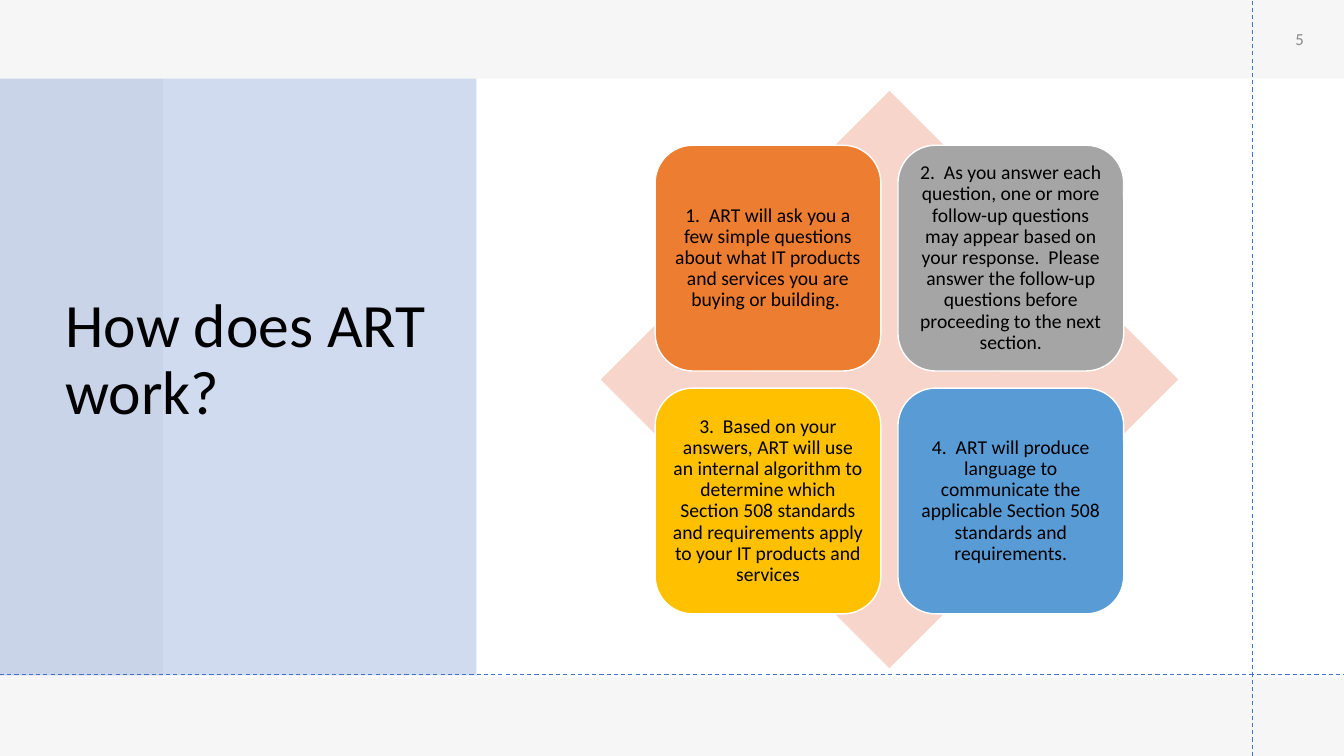
from lxml.etree import SubElement
from pptx import Presentation
from pptx.dml.color import RGBColor
from pptx.enum.dml import MSO_LINE
from pptx.enum.shapes import MSO_CONNECTOR as Connector, MSO_SHAPE as Shape
from pptx.enum.text import MSO_ANCHOR as Anchor, PP_ALIGN as Align
from pptx.oxml.ns import qn
from pptx.util import Cm, Pt

WHITE = RGBColor(0xFF, 0xFF, 0xFF)
BLACK = RGBColor(0x00, 0x00, 0x00)
NUMBER_GRAY = RGBColor(0x88, 0x88, 0x88)
BAND_GRAY = RGBColor(0xE7, 0xE6, 0xE6)
BLUE = RGBColor(0x44, 0x72, 0xC4)
PALE_ORANGE = RGBColor(0xF7, 0xD5, 0xCB)
ORANGE = RGBColor(0xED, 0x7D, 0x31)
GRAY = RGBColor(0xA5, 0xA5, 0xA5)
GOLD = RGBColor(0xFF, 0xC0, 0x00)
SKY = RGBColor(0x59, 0x9B, 0xD5)

WIDTH, HEIGHT = 33.87, 19.05
DIAMOND_LEFT, DIAMOND_TOP, DIAMOND_SIZE = 15.14, 2.29, 14.55
STEP_SIZE, STEP_PITCH = 5.69, 6.12

STEPS = [
    (ORANGE, "1.  ART will ask you a few simple questions about what IT products "
             "and services you are buying or building. "),
    (GRAY, "2.  As you answer each question, one or more follow-up questions may "
           "appear based on your response.  Please answer the follow-up questions "
           "before proceeding to the next section."),
    (GOLD, "3.  Based on your answers, ART will use an internal algorithm to "
           "determine which Section 508 standards and requirements apply to your "
           "IT products and services"),
    (SKY, "4.  ART will produce language to communicate the applicable "
          "Section 508 standards and requirements."),
]


class Page:
    font = "Calibri"

    def __init__(self, slide):
        self.shapes = slide.shapes

    def block(self, kind, left, top, width, height, color, opacity=None):
        """Add a filled shape without outline; opacity is in percent."""
        block = self.shapes.add_shape(kind, Cm(left), Cm(top), Cm(width), Cm(height))
        block.shadow.inherit = False
        block.fill.solid()
        block.fill.fore_color.rgb = color
        block.line.fill.background()
        if opacity is not None:
            fill_color = block._element.spPr.find(qn("a:solidFill"))[0]
            SubElement(fill_color, qn("a:alpha"), val=str(opacity * 1000))
        return block

    def set_text(self, box, text, size, color=BLACK, align=Align.CENTER, spacing=None):
        frame = box.text_frame
        frame.word_wrap = True
        frame.vertical_anchor = Anchor.MIDDLE
        frame.text = text
        paragraph = frame.paragraphs[0]
        paragraph.alignment = align
        paragraph.line_spacing = spacing
        font = paragraph.runs[0].font
        font.name, font.size = self.font, Pt(size)
        font.color.rgb = color

    def text(self, left, top, width, height, text, size, **style):
        box = self.shapes.add_textbox(Cm(left), Cm(top), Cm(width), Cm(height))
        self.set_text(box, text, size, **style)

    def dashed_line(self, x1, y1, x2, y2):
        line = self.shapes.add_connector(
            Connector.STRAIGHT, Cm(x1), Cm(y1), Cm(x2), Cm(y2))
        line.line.color.rgb = BLUE
        line.line.width = Pt(0.75)
        line.line.dash_style = MSO_LINE.DASH
        SubElement(line._element.spPr, qn("a:effectLst"))

    def step(self, left, top, color, text):
        card = self.block(Shape.ROUNDED_RECTANGLE, left, top, STEP_SIZE, STEP_SIZE, color)
        card.adjustments[0] = 0.167
        card.line.color.rgb = WHITE
        card.line.width = Pt(1)
        frame = card.text_frame
        frame.margin_left = frame.margin_right = Cm(0.15)
        frame.margin_top = frame.margin_bottom = Cm(0.15)
        self.set_text(card, text, 14, spacing=0.9)


def main():
    deck = Presentation()
    deck.slide_width, deck.slide_height = Cm(WIDTH), Cm(HEIGHT)
    page = Page(deck.slides.add_slide(deck.slide_layouts[6]))

    page.block(Shape.RECTANGLE, 0, 0, WIDTH, HEIGHT, BAND_GRAY, opacity=35)
    page.block(Shape.RECTANGLE, 4.11, 1.98, WIDTH - 4.11, 15.09, WHITE)
    page.block(Shape.RECTANGLE, 0, 1.98, 12.01, 15.04, BLUE, opacity=25)
    page.text(1.4, 1.88, 10.03, 14.45, "How does ART work?", 44,
              align=Align.LEFT, spacing=0.9)
    page.dashed_line(31.57, HEIGHT, 31.57, 0)
    page.text(31.62, 0, 2.26, 1.96, "5", 12, color=NUMBER_GRAY)
    page.dashed_line(0, 16.99, WIDTH, 16.99)

    page.block(Shape.DIAMOND, DIAMOND_LEFT, DIAMOND_TOP,
               DIAMOND_SIZE, DIAMOND_SIZE, PALE_ORANGE)
    inset = (DIAMOND_SIZE - STEP_PITCH - STEP_SIZE) / 2
    for index, (color, text) in enumerate(STEPS):
        row, column = divmod(index, 2)
        page.step(DIAMOND_LEFT + inset + column * STEP_PITCH,
                  DIAMOND_TOP + inset + row * STEP_PITCH, color, text)

    deck.save("out.pptx")


if __name__ == "__main__":
    main()
